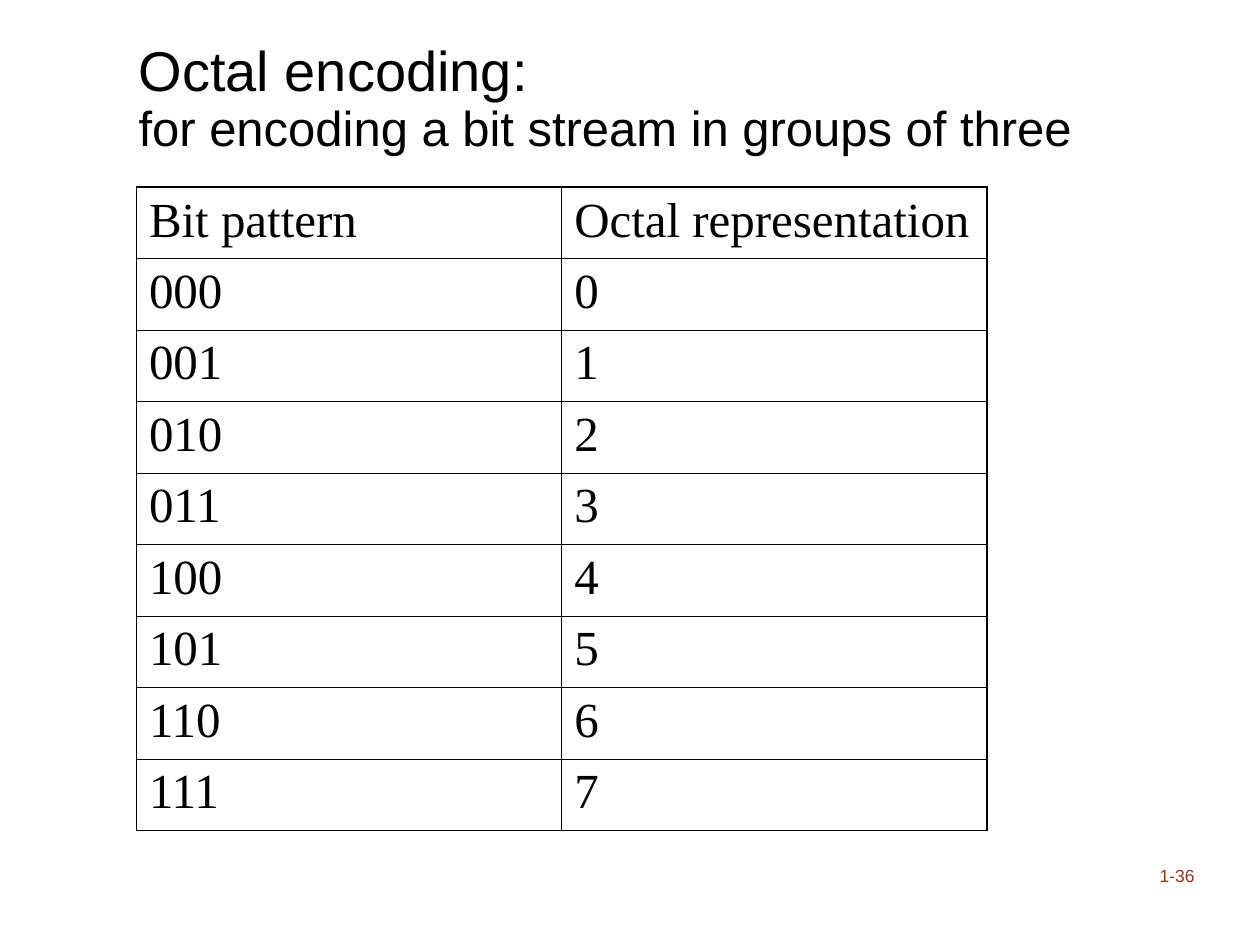
from dataclasses import dataclass

from lxml import etree
from pptx import Presentation
from pptx.dml.color import RGBColor
from pptx.enum.text import MSO_ANCHOR, MSO_AUTO_SIZE, PP_ALIGN
from pptx.oxml.ns import qn
from pptx.util import Cm, Pt

MIDDLE, BOTTOM = MSO_ANCHOR.MIDDLE, MSO_ANCHOR.BOTTOM
LEFT, RIGHT = PP_ALIGN.LEFT, PP_ALIGN.RIGHT
NO_AUTOFIT = MSO_AUTO_SIZE.NONE

BLACK, RUST = "000000", "9A3416"
THICK, THIN = 1.08, 0.45
TITLE_SIZE, SUBTITLE_SIZE = 32, 28


@dataclass
class Box:
    left: float
    top: float
    width: float
    height: float

    def lengths(self) -> tuple:
        return Cm(self.left), Cm(self.top), Cm(self.width), Cm(self.height)


@dataclass
class Encoding:
    bits: str
    octal: str


def color(value: str) -> RGBColor:
    return RGBColor.from_string(value)


def format_run(r, size: float, font: str, value: str = BLACK) -> None:
    r.font.size = Pt(size)
    r.font.name = font
    r.font.color.rgb = color(value)


def add_border(cell, side: str, width: float) -> None:
    ln = etree.SubElement(cell._tc.get_or_add_tcPr(), qn(f"a:ln{side}"), w=str(Pt(width)))
    fill = etree.SubElement(ln, qn("a:solidFill"))
    etree.SubElement(fill, qn("a:srgbClr"), val=BLACK)


def add_title(s, box: Box, heading: str, subtitle: str) -> None:
    sp = s.shapes.title
    sp.left, sp.top, sp.width, sp.height = box.lengths()
    tf = sp.text_frame
    tf.text = f"{heading}\v{subtitle}"
    tf.auto_size = NO_AUTOFIT
    tf.vertical_anchor = MIDDLE
    p = tf.paragraphs[0]
    p.alignment = LEFT
    p.line_spacing = 0.9
    for r, size in zip(p.runs, (TITLE_SIZE, SUBTITLE_SIZE)):
        format_run(r, size, "Arial")
    # The line break takes the size of the heading
    etree.SubElement(p._p.find(qn("a:br")), qn("a:rPr"), sz=str(TITLE_SIZE * 100))


def add_encoding_table(s, box: Box, rows: list[Encoding]) -> None:
    table = s.shapes.add_table(len(rows), 2, *box.lengths()).table
    table.first_row = table.horz_banding = False
    last = len(rows) - 1
    for i, row in enumerate(rows):
        table.rows[i].height = Cm(box.height / len(rows))
        for j, text in enumerate((row.bits, row.octal)):
            cell = table.cell(i, j)
            cell.text = text
            p = cell.text_frame.paragraphs[0]
            p.space_before = Pt(7)
            format_run(p.runs[0], 28, "Times New Roman")
            # Thick lines run around the outside, thin ones inside
            outer = {"L": j == 0, "R": j == 1, "T": i == 0, "B": i == last}
            for side, is_outer in outer.items():
                add_border(cell, side, THICK if is_outer else THIN)
            cell.fill.background()


def add_page_number(s, box: Box, text: str) -> None:
    tf = s.shapes.add_textbox(*box.lengths()).text_frame
    tf.word_wrap = True
    tf.vertical_anchor = BOTTOM
    tf.text = text
    p = tf.paragraphs[0]
    p.alignment = RIGHT
    format_run(p.runs[0], 10, "Arial", RUST)


def main() -> None:
    prs = Presentation()
    prs.slide_width, prs.slide_height = Cm(25.4), Cm(19.05)
    s = prs.slides.add_slide(prs.slide_layouts[5])

    # Title
    add_title(s, Box(2.54, 0.43, 20.32, 3.18), "Octal encoding:",
              "for encoding a bit stream in groups of three")

    # Every three-bit pattern with its octal digit
    rows = [Encoding("Bit pattern", "Octal representation")]
    rows += [Encoding(f"{n:03b}", f"{n:o}") for n in range(8)]
    add_encoding_table(s, Box(2.75, 3.77, 17.15, 12.97), rows)

    # Page number
    add_page_number(s, Box(22.43, 16.71, 1.9, 1.27), "1-36")

    prs.save("out.pptx")


if __name__ == "__main__":
    main()
